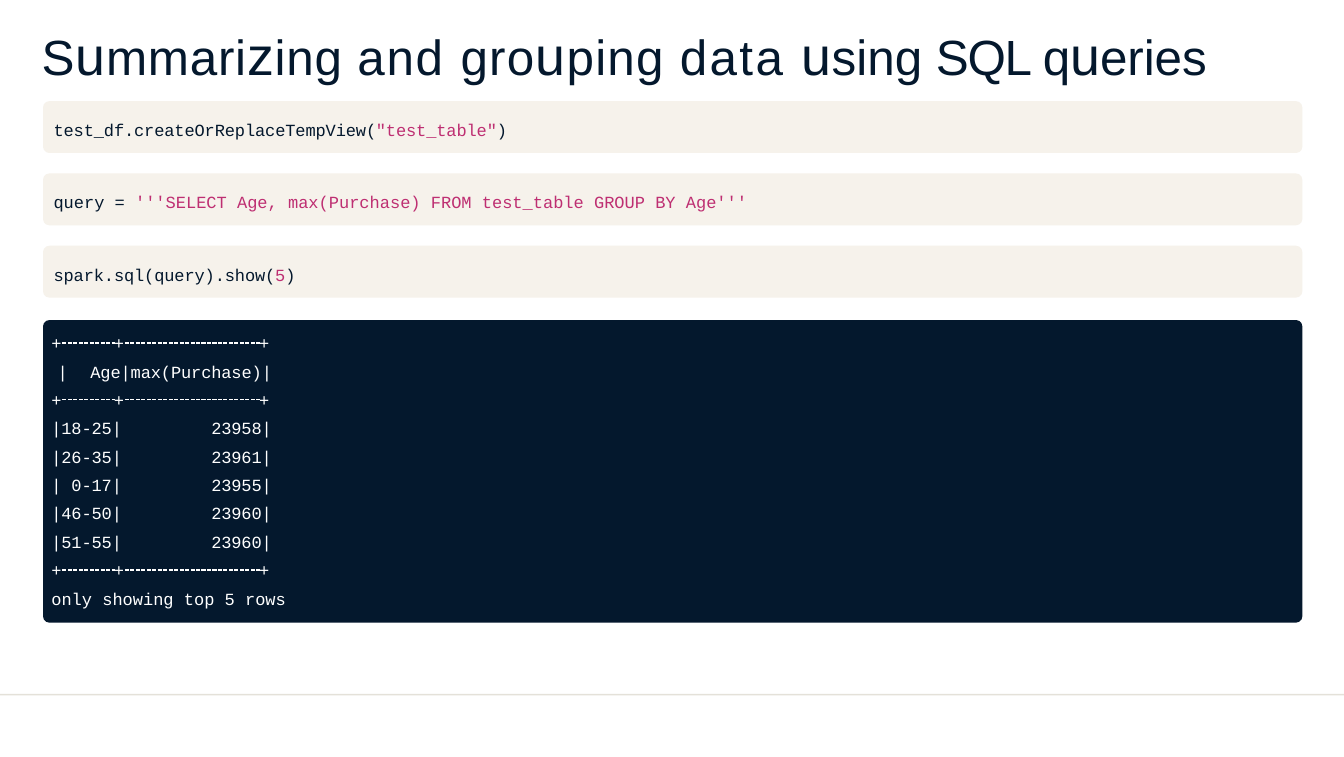
import itertools
from dataclasses import dataclass

import lxml.etree
import pptx
import pptx.dml.color
import pptx.enum.dml
import pptx.enum.shapes
import pptx.enum.text
import pptx.oxml.ns
import pptx.util


@dataclass(frozen=True)
class Theme:
    """Hold the colours, fonts, type sizes and slide size."""
    width: float = 17.01
    height: float = 9.58
    navy: str = "04182D"
    pink: str = "BE2F72"
    sand: str = "F6F2EB"
    stone: str = "E4E1D9"
    white: str = "FFFFFF"
    title_font: str = "Arial"
    code_font: str = "Courier New"
    title_size: float = 45
    title_large: float = 49
    code_size: float = 15.5
    corner: float = 0.08


THEME = Theme()
MARGIN, CARD_WIDTH = 3.2, 93.7
CODE_TOP, CODE_STEP, CODE_HEIGHT = 13.36, 9.55, 6.85
OUTPUT_TOP, OUTPUT_HEIGHT = 42.28, 39.98
LINE_TOP, LINE_STEP, DASH_TOP = 42.9, 3.75, 45.3
TEXT_LEFT = 3.82
DASHES = [(4.64, 8.52), (9.29, 19.34)]
TITLE = [("Summarizing ", 0.7), ("and ", 1.6), ("grouping ", 1.1),
         ("data ", 2.2), ("using ", 0), ("SQL ", -1.2), ("queries", -0.1)]
CODE = [
    ([("test_df.createOrReplaceTempView(", THEME.navy),
      ('"test_table"', THEME.pink), (")", THEME.navy)], -0.1),
    ([("query = ", THEME.navy),
      ("'''SELECT Age, max(Purchase) FROM test_table GROUP BY Age'''", THEME.pink)], 0),
    ([("spark.sql(query).show(", THEME.navy), ("5", THEME.pink), (")", THEME.navy)], -0.1),
]
RESULTS = [("18-25", 23958), ("26-35", 23961), (" 0-17", 23955),
           ("46-50", 23960), ("51-55", 23960)]


def across(share):
    """Return a percentage of the slide width."""
    return pptx.util.Inches(THEME.width * share / 100)


def down(share):
    """Return a percentage of the slide height."""
    return pptx.util.Inches(THEME.height * share / 100)


def rgb(colour):
    """Return a colour object for a hex string."""
    return pptx.dml.color.RGBColor.from_string(colour)


def add_text(paragraph, words, *, colour, size=THEME.code_size,
             font=THEME.code_font, spacing=0):
    """Append a formatted run to a paragraph."""
    run = paragraph.add_run()
    run.text = words
    run.font.name = font
    run.font.size = pptx.util.Pt(size)
    run.font.color.rgb = rgb(colour)
    run._r.get_or_add_rPr().set("spc", str(round(spacing * 100)))


def set_tabs(paragraph, stops):
    """Give a paragraph tab stops as pairs of inches and alignment."""
    properties = paragraph._p.get_or_add_pPr()
    tabs = lxml.etree.SubElement(properties, pptx.oxml.ns.qn("a:tabLst"))
    for position, alignment in stops:
        lxml.etree.SubElement(tabs, pptx.oxml.ns.qn("a:tab"),
                              pos=str(pptx.util.Inches(position)), algn=alignment)


def prepare_frame(frame, left=0, top=0, anchor=pptx.enum.text.MSO_ANCHOR.TOP):
    """Set the wrapping, insets and anchor of a text frame."""
    frame.word_wrap = True
    frame.margin_left, frame.margin_top = pptx.util.Inches(left), pptx.util.Inches(top)
    frame.margin_right = frame.margin_bottom = 0
    frame.vertical_anchor = anchor
    return frame


def add_panel(slide, left, top, width, height, colour, rounded=True):
    """Add a plain filled panel."""
    kinds = pptx.enum.shapes.MSO_SHAPE
    kind = kinds.ROUNDED_RECTANGLE if rounded else kinds.RECTANGLE
    panel = slide.shapes.add_shape(kind, across(left), down(top), across(width), down(height))
    panel.shadow.inherit = False
    panel.fill.solid()
    panel.fill.fore_color.rgb = rgb(colour)
    panel.line.fill.background()
    if rounded:
        panel.adjustments[0] = pptx.util.Inches(THEME.corner) / min(panel.width, panel.height)
    return panel


def add_title(slide):
    """Add the title, with its enlarged letters."""
    box = slide.shapes.add_textbox(across(3.1), down(2.5), across(89.65), down(8.87))
    paragraph = prepare_frame(box.text_frame, top=0.03).paragraphs[0]
    for word, spacing in TITLE:
        for large, letters in itertools.groupby(word, lambda letter: letter in "uz"):
            add_text(paragraph, "".join(letters), colour=THEME.navy, font=THEME.title_font,
                     size=THEME.title_large if large else THEME.title_size, spacing=spacing)


def add_code(slide, top, parts, spacing):
    """Add a code card with one highlighted statement."""
    card = add_panel(slide, MARGIN, top, CARD_WIDTH, CODE_HEIGHT, THEME.sand)
    frame = prepare_frame(card.text_frame, 0.11, 0.07, pptx.enum.text.MSO_ANCHOR.MIDDLE)
    paragraph = frame.paragraphs[0]
    paragraph.alignment = pptx.enum.text.PP_ALIGN.LEFT
    for words, colour in parts:
        add_text(paragraph, words, colour=colour, spacing=spacing)


def add_dash(slide, start, end, row):
    """Add a dashed border segment on a printed row."""
    height = down(DASH_TOP + LINE_STEP * row)
    dash = slide.shapes.add_connector(pptx.enum.shapes.MSO_CONNECTOR.STRAIGHT,
                                      across(start), height, across(end), height)
    dash.line.color.rgb = rgb(THEME.white)
    dash.line.width = pptx.util.Pt(1.26)
    dash.line.dash_style = pptx.enum.dml.MSO_LINE.SQUARE_DOT
    properties = dash._element.spPr
    lxml.etree.SubElement(properties, pptx.oxml.ns.qn("a:effectLst"))


def add_output(slide):
    """Add the printed query result on its dark panel."""
    add_panel(slide, MARGIN, OUTPUT_TOP, CARD_WIDTH, OUTPUT_HEIGHT, THEME.navy)
    border = ("+\t+\t+", [(0.79, "l"), (2.63, "l")], -0.1)
    header = ("\t|\tAge|max(Purchase)|", [(0.08, "l"), (2.79, "r")], -0.1)
    rows = [(f"|{age}|\t{purchase}|", [(2.79, "r")], -0.1) for age, purchase in RESULTS]
    lines = [border, header, border, *rows, border, ("only showing top 5 rows", [], 0)]
    box = slide.shapes.add_textbox(across(TEXT_LEFT), down(LINE_TOP), across(18),
                                   down(LINE_STEP * len(lines)))
    frame = prepare_frame(box.text_frame)
    for row, (words, stops, spacing) in enumerate(lines):
        paragraph = frame.add_paragraph() if row else frame.paragraphs[0]
        paragraph.line_spacing = pptx.util.Pt(THEME.height * 72 * LINE_STEP / 100)
        set_tabs(paragraph, stops)
        add_text(paragraph, words, colour=THEME.white, spacing=spacing)
        if words == border[0]:
            for start, end in DASHES:
                add_dash(slide, start, end, row)


def main():
    """Build and save the slide."""
    deck = pptx.Presentation()
    deck.slide_width, deck.slide_height = across(100), down(100)
    slide = deck.slides.add_slide(deck.slide_layouts[6])
    add_panel(slide, 0, 91.65, 100, 0.2, THEME.stone, rounded=False)
    add_title(slide)
    for position, (parts, spacing) in enumerate(CODE):
        add_code(slide, CODE_TOP + CODE_STEP * position, parts, spacing)
    add_output(slide)
    deck.save("out.pptx")


main()
